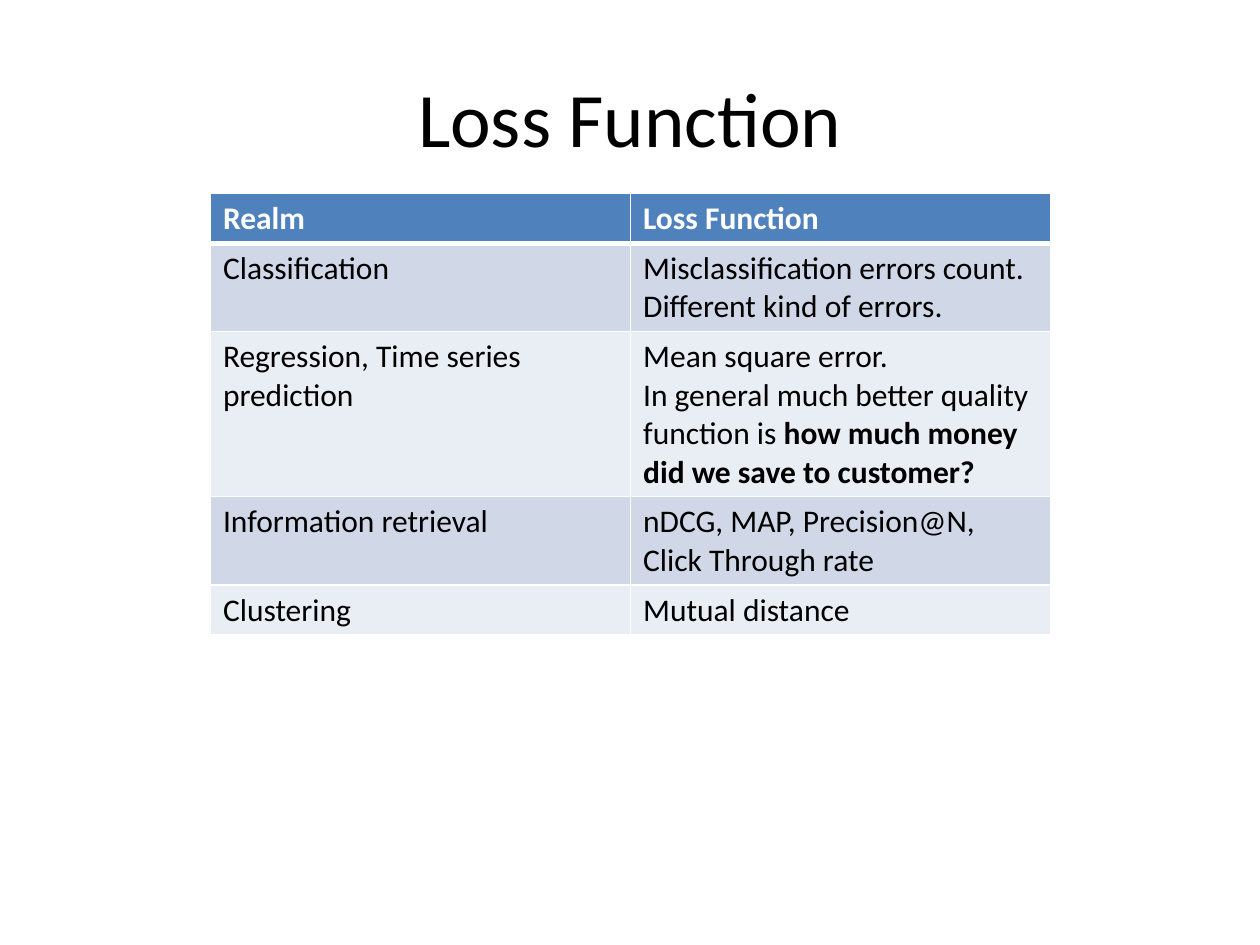
"""Build a slide that lists the usual loss functions by realm."""
from dataclasses import dataclass

from lxml import etree
from pptx import Presentation
from pptx.dml.color import RGBColor
from pptx.enum.text import MSO_ANCHOR, PP_ALIGN
from pptx.oxml.ns import qn
from pptx.slide import Slide
from pptx.table import _Cell
from pptx.text.text import _Run
from pptx.util import Inches, Pt

MIDDLE = MSO_ANCHOR.MIDDLE
CENTER = PP_ALIGN.CENTER
FONT = "Calibri"
BLACK = RGBColor(0x00, 0x00, 0x00)
WHITE = RGBColor(0xFF, 0xFF, 0xFF)
HEADER_BLUE = RGBColor(0x4F, 0x81, 0xBD)
BANDS = (RGBColor(0xD0, 0xD8, 0xE8), RGBColor(0xE9, 0xED, 0xF4))
TABLE_LEFT, TABLE_TOP, TABLE_WIDTH = 1.67, 1.53, 6.67


@dataclass(frozen=True)
class LossRow:
    """One table row, with an optional bold ending of its last paragraph."""

    realm: str
    loss: str
    height: float
    emphasis: str = ""


ROWS = (
    LossRow("Realm", "Loss Function", 0.4),
    LossRow("Classification", "Misclassification errors count. Different kind of errors.", 0.7),
    LossRow(
        "Regression, Time series prediction",
        "Mean square error.\nIn general much better quality function is ",
        1.31,
        "how much money did we save to customer?",
    ),
    LossRow("Information retrieval", "nDCG, MAP, Precision@N, Click Through rate", 0.7),
    LossRow("Clustering", "Mutual distance", 0.4),
)


def format_run(run: _Run, size: float, color: RGBColor, bold: bool = False) -> None:
    """Set the font of a run."""
    run.font.name = FONT
    run.font.size = Pt(size)
    run.font.color.rgb = color
    run.font.bold = bold


def add_title(slide: Slide, text: str) -> None:
    """Add the centred slide title."""
    title = slide.shapes.add_textbox(Inches(0.5), Inches(0.3), Inches(9), Inches(1.25))
    frame = title.text_frame
    frame.word_wrap = True
    frame.vertical_anchor = MIDDLE
    frame.text = text
    paragraph = frame.paragraphs[0]
    paragraph.alignment = CENTER
    format_run(paragraph.runs[0], 44, BLACK)


def set_borders(cell: _Cell, top: float, bottom: float) -> None:
    """Draw white borders, one point wide at the sides."""
    properties = cell._tc.get_or_add_tcPr()
    for side, width in (("L", 1), ("R", 1), ("T", top), ("B", bottom)):
        line = etree.SubElement(properties, qn(f"a:ln{side}"), w=str(Pt(width)))
        fill = etree.SubElement(line, qn("a:solidFill"))
        etree.SubElement(fill, qn("a:srgbClr"), val=str(WHITE))


def fill_cell(cell: _Cell, text: str, emphasis: str, row_index: int) -> None:
    """Write and style one table cell."""
    is_header = row_index == 0
    set_borders(cell, 3 if row_index == 1 else 1, 3 if is_header else 1)
    cell.fill.solid()
    cell.fill.fore_color.rgb = HEADER_BLUE if is_header else BANDS[(row_index - 1) % 2]
    cell.text_frame.text = text
    for paragraph in cell.text_frame.paragraphs:
        for run in paragraph.runs:
            format_run(run, 18, WHITE if is_header else BLACK, is_header)
    if emphasis:
        run = cell.text_frame.paragraphs[-1].add_run()
        run.text = emphasis
        format_run(run, 18, BLACK, True)


def add_loss_table(slide: Slide, rows: tuple[LossRow, ...]) -> None:
    """Add the table of realms and loss functions."""
    table = slide.shapes.add_table(
        len(rows), 2, Inches(TABLE_LEFT), Inches(TABLE_TOP),
        Inches(TABLE_WIDTH), Inches(sum(row.height for row in rows)),
    ).table
    for index, row in enumerate(rows):
        table.rows[index].height = Inches(row.height)
        fill_cell(table.cell(index, 0), row.realm, "", index)
        fill_cell(table.cell(index, 1), row.loss, row.emphasis, index)


def main() -> None:
    """Build and save the presentation."""
    presentation = Presentation()
    presentation.slide_width = Inches(10)
    presentation.slide_height = Inches(7.5)
    slide = presentation.slides.add_slide(presentation.slide_layouts[6])
    add_title(slide, "Loss Function")
    add_loss_table(slide, ROWS)
    presentation.save("out.pptx")


if __name__ == "__main__":
    main()
